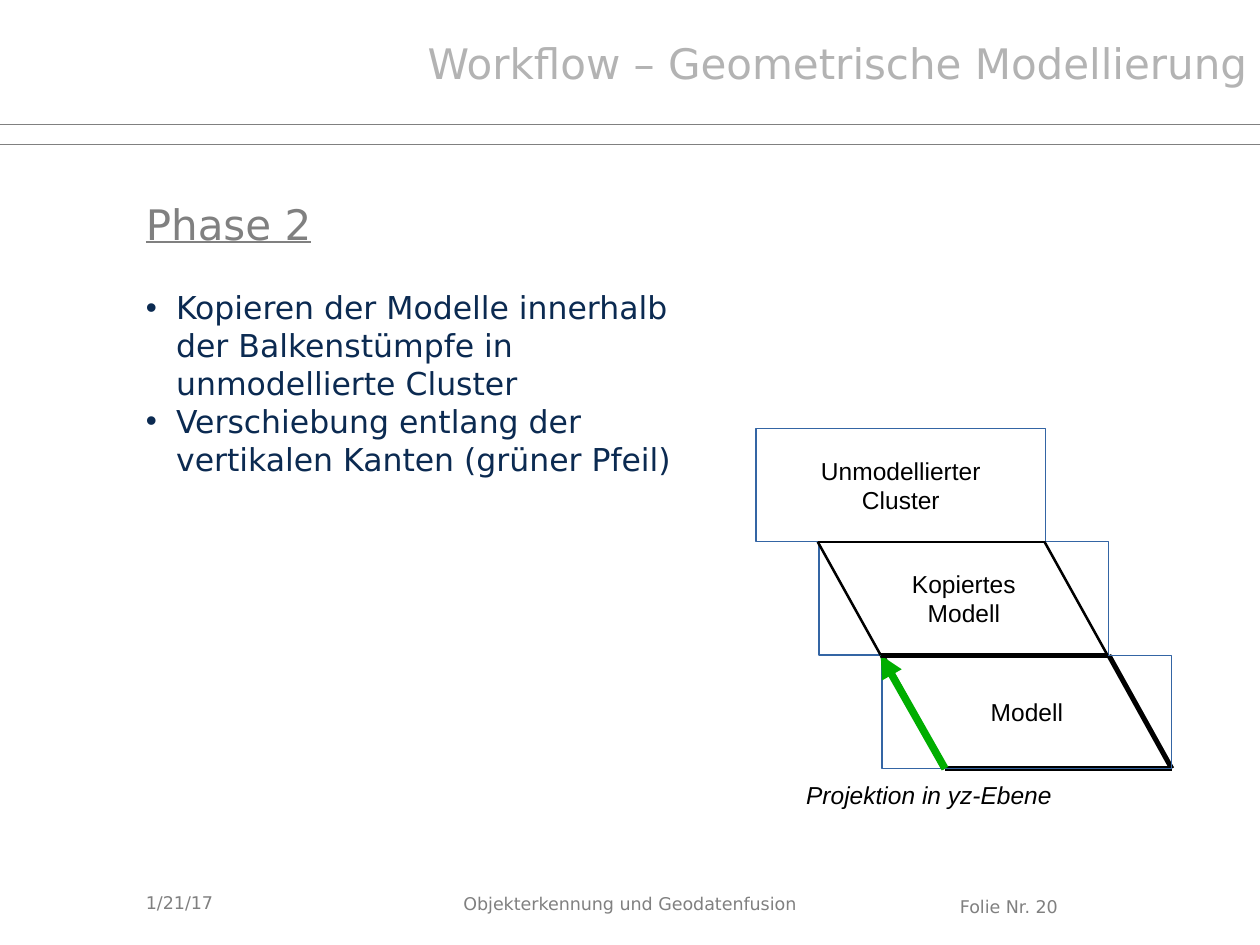
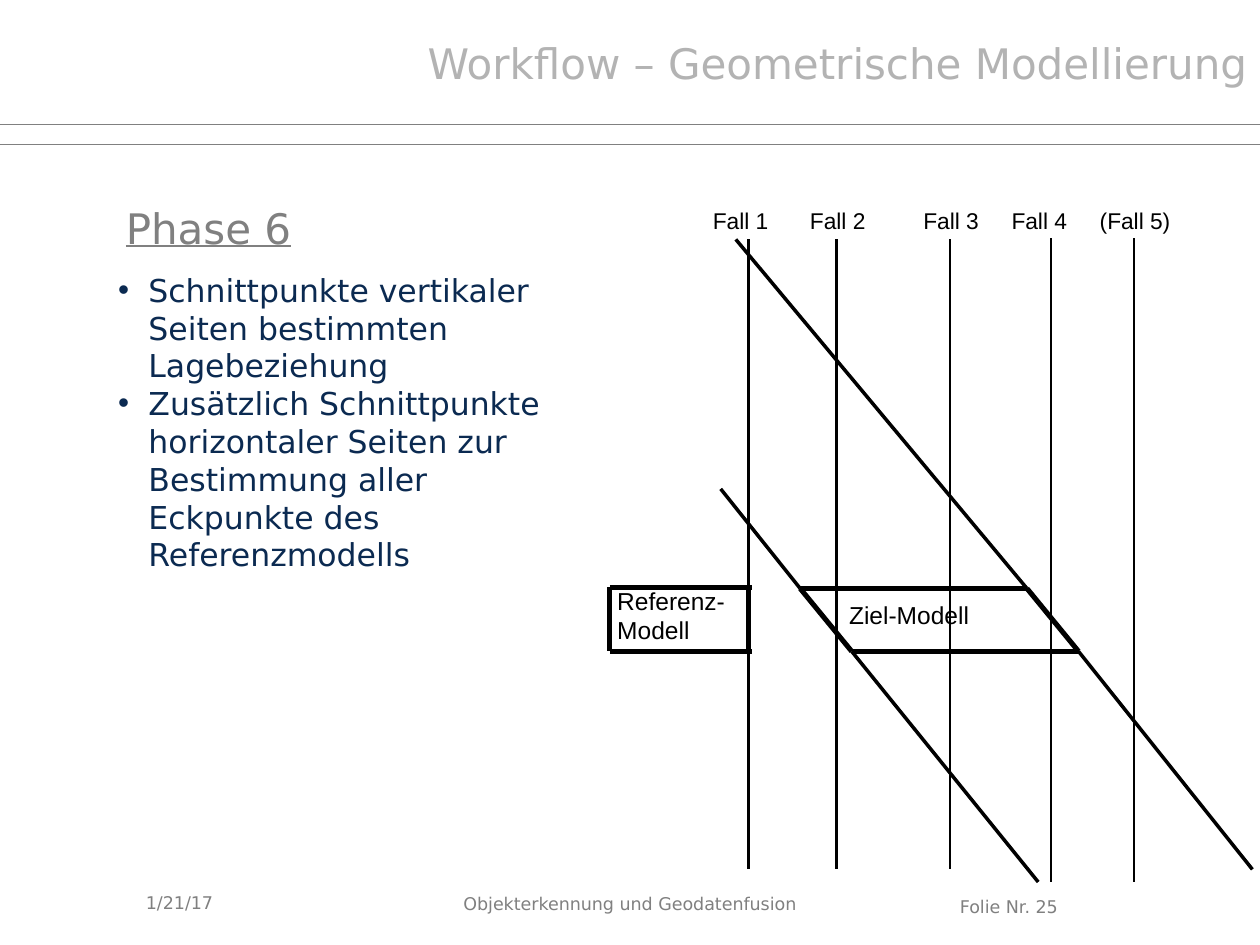
from lxml.etree import SubElement
from pptx import Presentation
from pptx.dml.color import RGBColor
from pptx.enum.shapes import MSO_CONNECTOR as Connector, MSO_SHAPE as Shape
from pptx.enum.text import MSO_ANCHOR as Anchor, PP_ALIGN as Align
from pptx.oxml.ns import qn
from pptx.util import Emu, Pt

PX = 9144
WIDTH, HEIGHT = 1000, 750
SANS, ARIAL = "DejaVu Sans", "Arial"
COLORS = {
    "title": "B3B3B3",
    "grey": "808080",
    "navy": "0B2A51",
    "black": "000000",
    "frame": "3465A4",
    "arrow": "00AE00",
}
HAIR, THIN, THICK, ARROW = 0, 1.45, 2.89, 4.31


def px(*lengths):
    return [Emu(length * PX) for length in lengths]


def rgb(name):
    return RGBColor.from_string(COLORS[name])


def add_bullet(paragraph, color):
    props = paragraph._p.get_or_add_pPr()
    indent = 24 * PX
    props.set("marL", str(indent))
    props.set("indent", str(-indent))
    bullet_color = SubElement(props, qn("a:buClr"))
    SubElement(bullet_color, qn("a:srgbClr"), val=COLORS[color])
    SubElement(props, qn("a:buFont"), typeface=ARIAL)
    SubElement(props, qn("a:buChar"), char="•")


def write_text(shape, text, size=14, font=ARIAL, color="black", align=Align.LEFT,
               anchor=Anchor.TOP, wrap=True, bullet=False, italic=False, underline=False):
    frame = shape.text_frame
    frame.word_wrap = wrap
    frame.vertical_anchor = anchor
    for index, line in enumerate(text.split("\n")):
        paragraph = frame.add_paragraph() if index else frame.paragraphs[0]
        paragraph.alignment = align
        if bullet:
            add_bullet(paragraph, color)
        run = paragraph.add_run()
        run.text = line
        run.font.size = Pt(size)
        run.font.name = font
        run.font.color.rgb = rgb(color)
        run.font.italic = italic
        run.font.underline = underline


def add_label(slide, box, text, **style):
    write_text(slide.shapes.add_textbox(*px(*box)), text, **style)


def add_line(slide, start, end, weight, color="black", arrow=False):
    line = slide.shapes.add_connector(Connector.STRAIGHT, *px(*start, *end))
    line.line.width = Pt(weight)
    line.line.color.rgb = rgb(color)
    if arrow:
        SubElement(line.line._get_or_add_ln(), qn("a:tailEnd"), type="triangle")
    SubElement(line._element.spPr, qn("a:effectLst"))


def add_outline(slide, box, slant=0, weight=THICK, base_weight=THICK, overhang=0):
    left, top, width, height = box
    right, bottom = left + width, top + height
    add_line(slide, (left, top), (right + overhang, top), weight)
    add_line(slide, (left + slant, bottom), (right + slant + overhang, bottom), base_weight)
    for x in (left, right):
        add_line(slide, (x, top), (x + slant, bottom), weight)


def add_frame(slide, box, text):
    frame = slide.shapes.add_shape(Shape.RECTANGLE, *px(*box))
    frame.shadow.inherit = False
    frame.fill.background()
    frame.line.color.rgb = rgb("frame")
    frame.line.width = Pt(HAIR)
    write_text(frame, text, align=Align.CENTER, anchor=Anchor.MIDDLE, wrap=False)


def add_base(deck, number):
    slide = deck.slides.add_slide(deck.slide_layouts[6])
    for y in (99, 115):
        add_line(slide, (0, y), (WIDTH, y), 0.5, "grey")
    add_label(slide, (300, 25, 700, 49), "Workflow – Geometrische Modellierung",
              size=24, font=SANS, color="title", align=Align.RIGHT)
    footer = {"size": 10, "font": SANS, "color": "grey"}
    add_label(slide, (106, 697, 233, 39), "1/21/17", anchor=Anchor.MIDDLE, **footer)
    add_label(slide, (358, 704, 346, 26), "Objekterkennung und Geodatenfusion", **footer)
    add_label(slide, (752, 706, 189, 26), f"Folie Nr. {number}", **footer)
    return slide


def add_phase(slide, heading_box, heading, points_box, points):
    add_label(slide, heading_box, heading, size=24, font=SANS, color="grey",
              anchor=Anchor.MIDDLE, underline=True)
    add_label(slide, points_box, points, size=18, font=SANS, color="navy", bullet=True)


def add_projection(slide, box):
    left, top, width, height = box
    step, edge = 50, 180
    model_left, model_top = left + 2 * step, top + 2 * height
    add_outline(slide, (model_left, model_top, edge, height), step)
    clusters = ("Unmodellierter\nCluster", "Kopiertes\nModell", "Modell")
    for row, text in reversed(list(enumerate(clusters))):
        add_frame(slide, (left + row * step, top + row * height, width, height), text)
    add_line(slide, (model_left + step, model_top + height), (model_left - 1, model_top),
             ARROW, "arrow", arrow=True)
    add_outline(slide, (left + step - 1, top + height, edge, height), step, THIN)
    add_label(slide, (left + 30, model_top + height + 4, 420, 66),
              "Projektion in yz-Ebene", italic=True)


def add_cases(slide, box):
    left, top, width, height = box
    target_left, target_top, edge, slant, depth = left + 151, top + 308, 180, 41, 50
    add_outline(slide, (target_left, target_top, edge, depth), slant)
    cases = (
        ("Fall 1", 110, 72, 64, 1, 531),
        ("Fall 2", 180, 149, 64, 1, 531),
        ("Fall 3", 270, 239, 64, 1, 531),
        ("Fall 4", 350, 309, 64, 0, 541),
        ("(Fall 5)", 416, 379, 76, 0, 541),
    )
    for text, line_x, label_x, label_width, start, end in cases:
        x = left + line_x
        add_line(slide, (x, top + 30 + start), (x, top + end), THIN)
        add_label(slide, (left + label_x, top, label_width, 30), text, size=13)
    rays = (
        (0, (88, 229), (340, 541)),
        (edge, (100, 31), (510, 531)),
    )
    for offset, upper, lower in rays:
        corner = target_left + offset
        add_line(slide, (corner, target_top), (left + upper[0], top + upper[1]), HAIR)
        add_line(slide, (corner + slant, target_top + depth),
                 (left + lower[0], top + lower[1]), HAIR)
    add_label(slide, (target_left + 29, target_top + 4, 141, 43), "Ziel-Modell")
    add_outline(slide, (left, target_top - 1, 110, depth + 1), overhang=3)
    add_label(slide, (left - 4, target_top - 7, 129, 66), "Referenz-\nModell")


def build_copy_slide(deck):
    slide = add_base(deck, 20)
    add_phase(
        slide, (106, 115, 893, 125), "Phase 2", (106, 224, 464, 216),
        "Kopieren der Modelle innerhalb der Balkenstümpfe in unmodellierte Cluster\n"
        "Verschiebung entlang der vertikalen Kanten (grüner Pfeil)")
    add_projection(slide, (600, 340, 230, 90))


def build_intersection_slide(deck):
    slide = add_base(deck, 25)
    add_phase(
        slide, (90, 118, 538, 125), "Phase 6", (84, 210, 376, 460),
        "Schnittpunkte vertikaler Seiten bestimmten Lagebeziehung\n"
        "Zusätzlich Schnittpunkte horizontaler Seiten zur Bestimmung aller "
        "Eckpunkte des Referenzmodells")
    add_cases(slide, (484, 159, 510, 541))


def main():
    deck = Presentation()
    deck.slide_width, deck.slide_height = px(WIDTH, HEIGHT)
    build_copy_slide(deck)
    build_intersection_slide(deck)
    deck.save("out.pptx")


if __name__ == "__main__":
    main()
